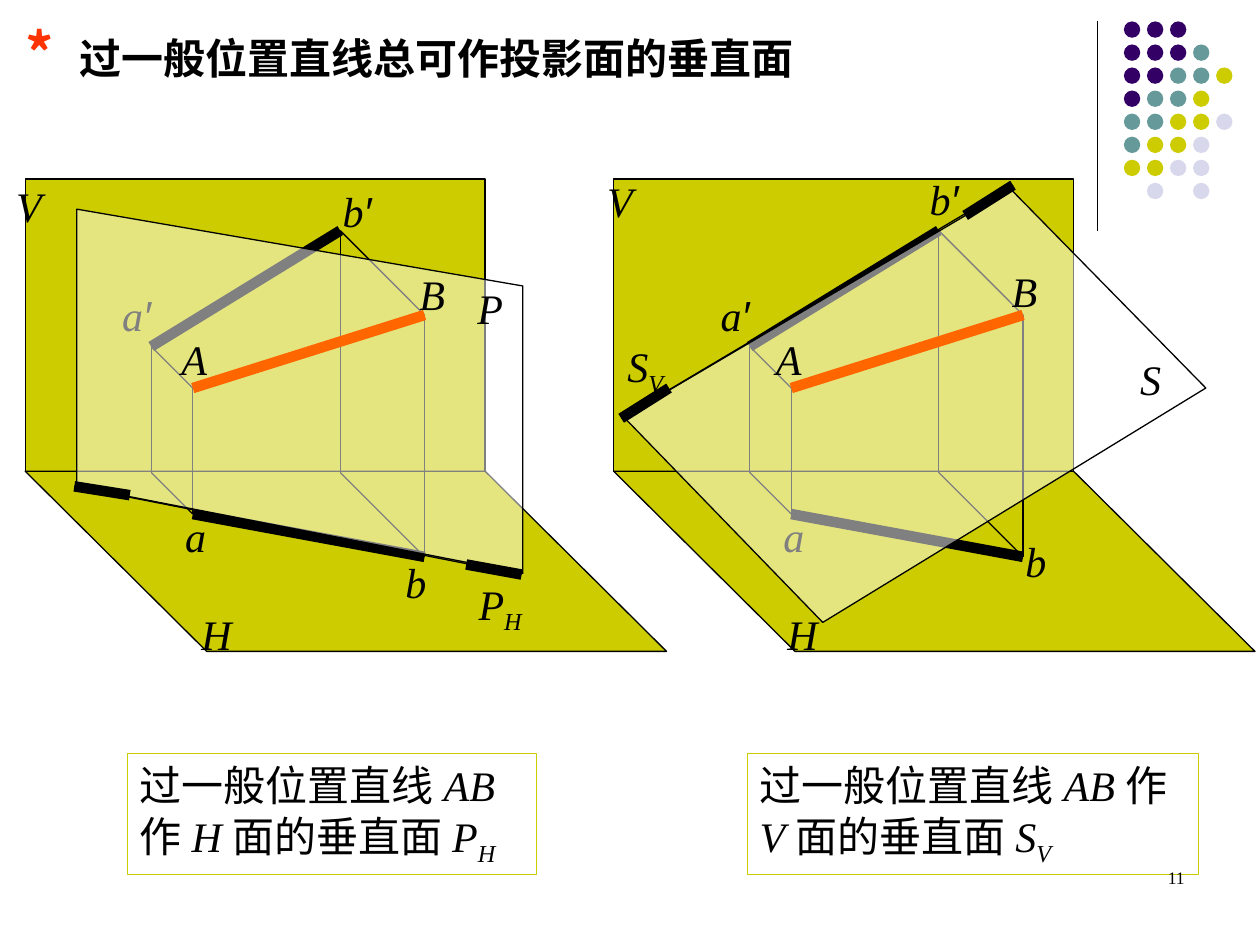
from lxml import etree
from pptx import Presentation
from pptx.dml.color import RGBColor
from pptx.enum.shapes import MSO_CONNECTOR, MSO_SHAPE
from pptx.enum.text import MSO_ANCHOR, MSO_AUTO_SIZE, PP_ALIGN
from pptx.oxml.ns import qn
from pptx.util import Cm, Pt

STRAIGHT = MSO_CONNECTOR.STRAIGHT
OVAL, RECTANGLE = MSO_SHAPE.OVAL, MSO_SHAPE.RECTANGLE
TOP, NO_FIT = MSO_ANCHOR.TOP, MSO_AUTO_SIZE.NONE
LEFT, RIGHT = PP_ALIGN.LEFT, PP_ALIGN.RIGHT

THEME = {
    "black": "000000", "white": "FFFFFF", "plane": "CCCC00",
    "orange": "FF6600", "star": "FF3300",
    "serif": "Times New Roman", "sans": "Arial", "chinese": "Noto Sans CJK SC",
    "star_size": 32, "body": 24, "small": 10,
    "thin": 0.75, "thick": 6,
}

# Content: all positions are in inches
TITLE = [("* ", "star"), ("过一般位置直线总可作投影面的垂直面", "title")]
PAGE_NUMBER = "11"
DOT_ROWS = ["PPP", "PPPT", "PPTTY", "PTTY", "TTYYL", "TYYL", "YYLL", " L L"]
DOT_COLORS = {"P": "330066", "T": "669999", "Y": "CCCC00", "L": "D8D8EC"}

# Points of the projected line, measured in the left scene
POINTS = {
    "a'": (1.2, 2.75), "b'": (2.7, 1.83), "A": (1.53, 3.08), "B": (3.37, 2.5),
    "a": (1.53, 4.08), "b": (3.37, 4.42), "a0": (1.2, 3.75), "b0": (2.7, 3.75),
}
THICK_EDGES = [("a", "b"), ("b'", "a'")]
THIN_EDGES = [("a'", "a0"), ("b'", "b0"), ("b0", "b"), ("a0", "a"),
              ("a", "A"), ("a'", "A"), ("b", "B"), ("b'", "B")]

# Labels are (runs, left, top, width)
SCENES = [
    {
        "plane_left": 4.87, "shift": 4.75,
        "back_labels": [
            ([("V", "italic")], 4.72, 1.34, 0.66), ([("H", "italic")], 6.15, 4.78, 0.66),
            ([("a", "italic")], 6.12, 4.0, 0.33), ([("b", "italic")], 8.04, 4.2, 0.33),
            ([("b", "italic"), ("′", "prime")], 7.28, 1.33, 0.58),
            ([("a", "italic"), ("′", "prime")], 5.62, 2.25, 0.75),
        ],
        "cut": [(4.95, 3.31), (6.53, 4.94), (9.57, 3.08), (8.02, 1.5)],
        "trace": [(4.93, 3.32), (5.31, 3.08), (7.66, 1.71), (8.04, 1.47)],
        "front_labels": [
            ([("S", "italic")], 8.95, 2.76, 1.08),
            ([("S", "italic"), ("V", "sub")], 4.88, 2.65, 1.08),
            ([("A", "italic")], 6.06, 2.6, 0.75), ([("B", "italic")], 7.93, 2.06, 0.75),
        ],
        "caption_box": (5.93, 5.98, 3.58, 0.96), "caption": ("V", "S"),
    },
    {
        "plane_left": 0.2, "shift": 0,
        "back_labels": [
            ([("V", "italic")], 0.03, 1.38, 0.66), ([("H", "italic")], 1.5, 4.78, 0.66),
            ([("b", "italic"), ("′", "prime")], 2.62, 1.42, 0.79),
            ([("a", "italic"), ("′", "prime")], 0.87, 2.25, 0.75),
            ([("a", "italic")], 1.37, 4.0, 0.52), ([("b", "italic")], 3.12, 4.37, 0.56),
        ],
        "cut": [(0.61, 3.86), (0.61, 1.66), (4.15, 2.27), (4.15, 4.55)],
        "trace": [(0.59, 3.86), (1.03, 3.93), (3.7, 4.48), (4.14, 4.56)],
        "front_labels": [
            ([("P", "italic")], 3.69, 2.19, 0.75),
            ([("P", "italic"), ("H", "sub")], 3.7, 4.54, 0.75),
            ([("A", "italic")], 1.34, 2.6, 0.75), ([("B", "italic")], 3.23, 2.08, 0.75),
        ],
        "caption_box": (1.01, 5.98, 3.25, 0.96), "caption": ("H", "P"),
    },
]

RUN_STYLES = {
    "italic": {"italic": True},
    "prime": {"italic": True, "font": "sans"},
    "sub": {"italic": True, "baseline": -25000},
    "upright": {"east_asian": True},
    "star": {"font": "chinese", "size": "star_size", "color": "star", "bold": True, "east_asian": True},
    "title": {"font": "chinese", "bold": True, "east_asian": True},
    "small": {"size": "small"},
}


def inches(value):
    return Cm(value * 2.54)


def color(name):
    return RGBColor.from_string(THEME.get(name, name))


def place(shape, left, top, width, height):
    shape.left, shape.top = inches(left), inches(top)
    shape.width, shape.height = inches(width), inches(height)


def write(shape, runs, align=LEFT, wrap=True):
    frame = shape.text_frame
    frame.word_wrap, frame.auto_size, frame.vertical_anchor = wrap, NO_FIT, TOP
    paragraph = frame.paragraphs[0]
    paragraph.alignment = align
    for text, style_name in runs:
        style = RUN_STYLES[style_name]
        run = paragraph.add_run()
        run.text = text
        font = run.font
        font.name = THEME[style.get("font", "serif")]
        font.size = Pt(THEME[style.get("size", "body")])
        font.bold, font.italic = style.get("bold", False), style.get("italic", False)
        font.color.rgb = color(style.get("color", "black"))
        properties = run._r.get_or_add_rPr()
        if "baseline" in style:
            properties.set("baseline", str(style["baseline"]))
        if "east_asian" in style:
            etree.SubElement(properties, qn("a:ea"), typeface=THEME["chinese"])


def add_text(slide, runs, left, top, width, height=0.5, **text_format):
    box = slide.shapes.add_textbox(*map(inches, (left, top, width, height)))
    write(box, runs, **text_format)


def paint(shape, fill=None, line=None, alpha=None):
    shape.shadow.inherit = False
    if fill:
        shape.fill.solid()
        shape.fill.fore_color.rgb = color(fill)
    else:
        shape.fill.background()
    if alpha:
        fill_color = shape._element.spPr.find(".//" + qn("a:srgbClr"))
        etree.SubElement(fill_color, qn("a:alpha"), val=str(alpha * 1000))
    if line:
        shape.line.color.rgb = color(line)
        shape.line.width = Pt(THEME["thin"])
    else:
        shape.line.fill.background()


def add_preset(slide, kind, box, **look):
    shape = slide.shapes.add_shape(kind, *map(inches, box))
    paint(shape, **look)
    return shape


def add_polygon(slide, corners, **look):
    points = [(inches(x), inches(y)) for x, y in corners]
    builder = slide.shapes.build_freeform(*points[0])
    builder.add_line_segments(points[1:], close=True)
    paint(builder.convert_to_shape(), line="black", **look)


def add_line(slide, start, end, weight="thin", line="black"):
    connector = slide.shapes.add_connector(STRAIGHT, *map(inches, (*start, *end)))
    connector.line.color.rgb = color(line)
    connector.line.width = Pt(THEME[weight])
    etree.SubElement(connector._element.spPr, qn("a:effectLst"))


def add_decoration(slide):
    add_line(slide, (8.71, 0.17), (8.71, 1.83))
    step, size = 0.183, 0.13
    for row, codes in enumerate(DOT_ROWS):
        for column, code in enumerate(codes):
            if code in DOT_COLORS:
                box = (8.92 + column * step, 0.17 + row * step, size, size)
                add_preset(slide, OVAL, box, fill=DOT_COLORS[code])


def add_scene(slide, scene):
    # Projection planes V and H
    left, width, fold, bottom, slant = scene["plane_left"], 3.65, 3.74, 5.17, 1.44
    add_preset(slide, RECTANGLE, (left, 1.42, width, 2.32), fill="plane", line="black")
    add_polygon(slide, [(left, fold), (left + slant, bottom),
                        (left + slant + width, bottom), (left + width, fold)], fill="plane")
    # Projections of the line
    points = {name: (x + scene["shift"], y) for name, (x, y) in POINTS.items()}
    for edges, weight in ((THICK_EDGES, "thick"), (THIN_EDGES, "thin")):
        for start, end in edges:
            add_line(slide, points[start], points[end], weight)
    for label in scene["back_labels"]:
        add_text(slide, *label)
    # Perpendicular plane, its trace and the line AB
    add_polygon(slide, scene["cut"], fill="white", alpha=50)
    first, first_inner, last_inner, last = scene["trace"]
    add_line(slide, first, last)
    add_line(slide, first, first_inner, "thick")
    add_line(slide, last, last_inner, "thick")
    add_line(slide, points["B"], points["A"], "thick", "orange")
    for label in scene["front_labels"]:
        add_text(slide, *label)
    # Caption
    face, plane = scene["caption"]
    caption = add_preset(slide, RECTANGLE, scene["caption_box"], line="plane")
    write(caption, [("过一般位置直线", "upright"), ("AB", "italic"), ("作", "upright"),
                    (face, "italic"), ("面的垂直面", "upright"), (plane, "italic"), (face, "sub")])


def main():
    presentation = Presentation()
    presentation.slide_width, presentation.slide_height = Cm(25.4), Cm(19.05)
    slide = presentation.slides.add_slide(presentation.slide_layouts[5])
    add_decoration(slide)
    for scene in SCENES:
        add_scene(slide, scene)
    place(slide.shapes.title, 0.1, 0.1, 6.51, 0.64)
    write(slide.shapes.title, TITLE, wrap=False)
    add_text(slide, [(PAGE_NUMBER, "small")], 7.17, 6.83, 2.33, align=RIGHT)
    presentation.save("out.pptx")


if __name__ == "__main__":
    main()
